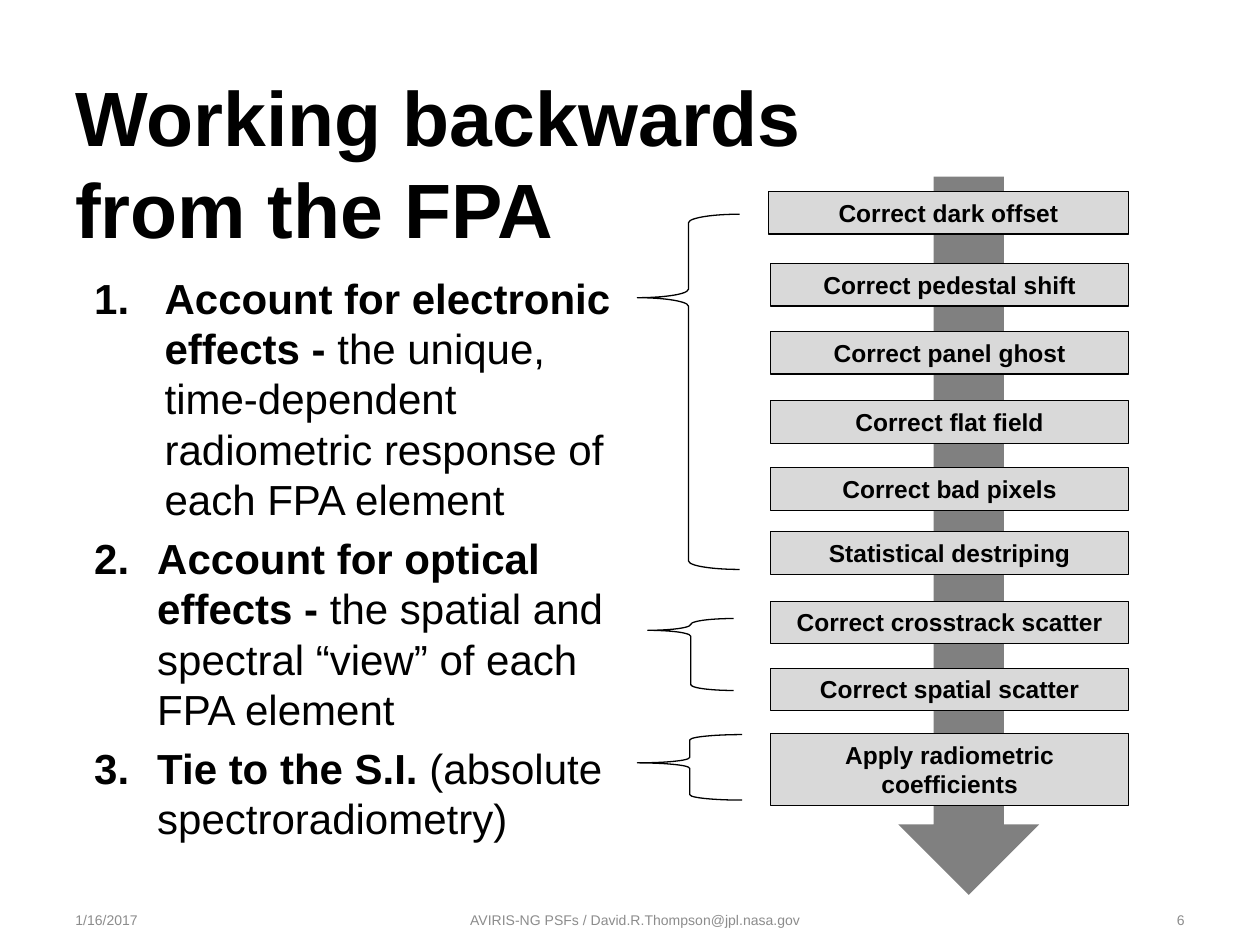
from dataclasses import dataclass

from lxml import etree
from pptx import Presentation
from pptx import util as u
from pptx.dml.color import RGBColor
from pptx.enum import shapes, text
from pptx.oxml import ns


@dataclass(frozen=True)
class Theme:
    font: str = "Arial"
    ink: RGBColor = RGBColor(0, 0, 0)
    muted: RGBColor = RGBColor(0x8C, 0x8C, 0x8C)
    arrow: RGBColor = RGBColor(0x80, 0x80, 0x80)
    step: RGBColor = RGBColor(0xD9, 0xD9, 0xD9)
    title_size: int = 44
    body_size: int = 24
    step_size: int = 14
    footer_size: int = 8
    outline: float = 0.75


THEME = Theme()

EFFECTS = [
    ("Account for electronic effects - ",
     "the unique, time-dependent radiometric response of each FPA element", 1.42),
    ("Account for optical effects - ",
     "the spatial and spectral “view” of each FPA element", 1.27),
    ("Tie to the S.I. ", "(absolute spectroradiometry)", 1.27),
]

# Label, offset from the top of the pipeline, left inset and height, in cm
STEPS = [
    ("Correct dark offset", 0.30, 0, 0.86),
    ("Correct pedestal shift", 1.75, 0.05, 0.86),
    ("Correct panel ghost", 3.12, 0.05, 0.86),
    ("Correct flat field", 4.52, 0.05, 0.86),
    ("Correct bad pixels", 5.87, 0.05, 0.86),
    ("Statistical destriping", 7.16, 0.05, 0.86),
    ("Correct crosstrack scatter", 8.56, 0.05, 0.86),
    ("Correct spatial scatter", 9.91, 0.05, 0.86),
    ("Apply radiometric coefficients", 11.23, 0.05, 1.45),
]

# Box in cm and height of the point as a share of the brace
BRACES = [
    ((12.85, 4.32, 2.06, 7.16), 0.235),
    ((13.06, 12.47, 1.73, 1.45), 0.164),
    ((12.85, 14.81, 2.11, 1.32), 0.432),
]


def to_cm(box):
    return [u.Cm(length) for length in box]


def style_font(font, size, color, bold=False):
    font.name = THEME.font
    font.size = u.Pt(size)
    font.color.rgb = color
    font.bold = bold


def add_text(slide, box, content, size, color, bold=False,
             align=text.PP_ALIGN.LEFT, anchor=text.MSO_ANCHOR.TOP):
    frame = slide.shapes.add_textbox(*to_cm(box)).text_frame
    frame.word_wrap = True
    frame.vertical_anchor = anchor
    frame.text = content
    paragraph = frame.paragraphs[0]
    paragraph.alignment = align
    style_font(paragraph.runs[0].font, size, color, bold)


def add_plain_shape(parent, kind, box, fill=None, outlined=True):
    shape = parent.shapes.add_shape(kind, *to_cm(box))
    shape.shadow.inherit = False
    if fill is None:
        shape.fill.background()
    else:
        shape.fill.solid()
        shape.fill.fore_color.rgb = fill
    if outlined:
        shape.line.color.rgb = THEME.ink
        shape.line.width = u.Pt(THEME.outline)
    else:
        shape.line.fill.background()
    return shape


def number_paragraph(paragraph, indent):
    """Give the paragraph an automatic number in a hanging indent."""
    properties = paragraph._p.get_or_add_pPr()
    properties.set("marL", str(u.Cm(indent)))
    properties.set("indent", str(-u.Cm(indent)))
    etree.SubElement(properties, ns.qn("a:buFont"), typeface="+mj-lt")
    etree.SubElement(properties, ns.qn("a:buAutoNum"), type="arabicPeriod")


def add_effects(slide, box):
    frame = slide.shapes.add_textbox(*to_cm(box)).text_frame
    frame.word_wrap = True
    for index, (lead, detail, indent) in enumerate(EFFECTS):
        paragraph = frame.add_paragraph() if index else frame.paragraphs[0]
        number_paragraph(paragraph, indent)
        if index:
            paragraph.space_before = u.Pt(0.2 * THEME.body_size)
        for content, bold in ((lead, True), (detail, False)):
            run = paragraph.add_run()
            run.text = content
            style_font(run.font, THEME.body_size, THEME.ink, bold)


def add_pipeline(slide, box):
    """Stack the correction steps over one downward arrow."""
    left, top, width, height = box
    group = slide.shapes.add_group_shape()
    arrow_width = 2.84
    add_plain_shape(group, shapes.MSO_SHAPE.DOWN_ARROW,
                    (left + 2.62, top, arrow_width, height),
                    THEME.arrow, outlined=False)
    for label, offset, inset, step_height in STEPS:
        step = add_plain_shape(group, shapes.MSO_SHAPE.RECTANGLE,
                               (left + inset, top + offset, width - inset, step_height),
                               THEME.step)
        frame = step.text_frame
        frame.word_wrap = True
        frame.auto_size = text.MSO_AUTO_SIZE.SHAPE_TO_FIT_TEXT
        frame.vertical_anchor = text.MSO_ANCHOR.TOP
        frame.text = label
        paragraph = frame.paragraphs[0]
        paragraph.alignment = text.PP_ALIGN.CENTER
        style_font(paragraph.runs[0].font, THEME.step_size, THEME.ink, True)


def add_braces(slide):
    for box, point in BRACES:
        brace = add_plain_shape(slide, shapes.MSO_SHAPE.LEFT_BRACE, box)
        brace.adjustments[0] = 0.083
        brace.adjustments[1] = point


def add_footer(slide, box):
    left, top, width, height = box
    fields = [
        ("1/16/2017", 0, 3.76, text.PP_ALIGN.LEFT),
        ("AVIRIS-NG PSFs / David.R.Thompson@jpl.nasa.gov", 3.96, 15.16, text.PP_ALIGN.CENTER),
        ("6", width - 3.53, 3.53, text.PP_ALIGN.RIGHT),
    ]
    for content, offset, field_width, align in fields:
        add_text(slide, (left + offset, top, field_width, height), content,
                 THEME.footer_size, THEME.muted, align=align,
                 anchor=text.MSO_ANCHOR.MIDDLE)


def main():
    presentation = Presentation()
    presentation.slide_width = u.Cm(25.4)
    presentation.slide_height = u.Cm(19.05)
    slide = presentation.slides.add_slide(presentation.slide_layouts[6])
    add_footer(slide, (1.27, 18.03, 22.86, 1.02))
    add_effects(slide, (1.65, 5.36, 11.35, 10.39))
    add_text(slide, (1.27, 1.27, 17.88, 1.22), "Working backwards from the FPA",
             THEME.title_size, THEME.ink, bold=True)
    add_pipeline(slide, (15.49, 3.56, 7.26, 14.48))
    add_braces(slide)
    presentation.save("out.pptx")


if __name__ == "__main__":
    main()
